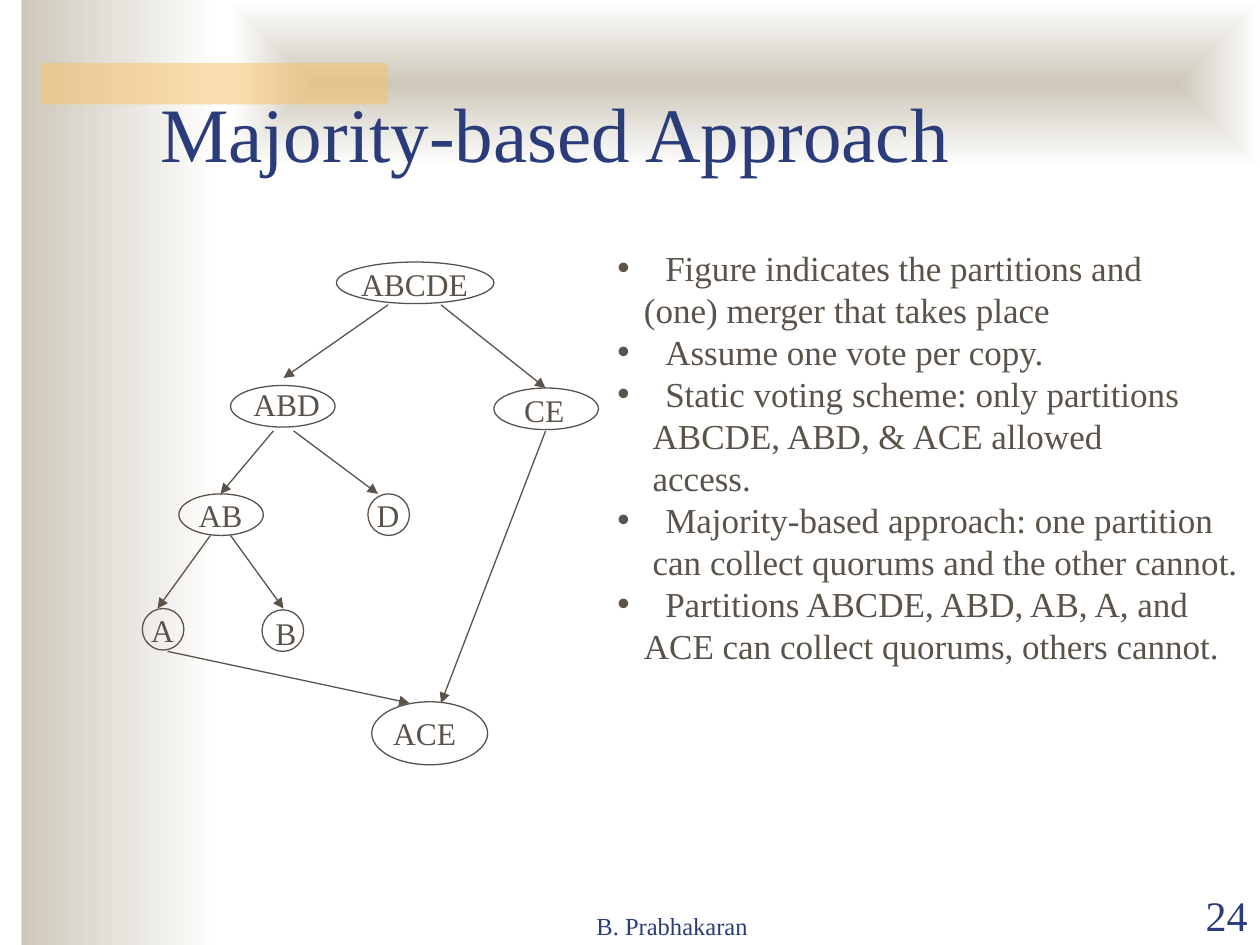
"""Build the slide on the majority-based approach with its partition tree."""
from dataclasses import dataclass

from lxml.etree import SubElement
from pptx import Presentation
from pptx.dml.color import RGBColor
from pptx.enum.shapes import MSO_CONNECTOR as Connector, MSO_SHAPE as Shape
from pptx.enum.text import MSO_ANCHOR as Anchor, MSO_AUTO_SIZE as AutoSize, PP_ALIGN as Align
from pptx.oxml.ns import qn
from pptx.util import Inches, Pt

FONT = "Times New Roman"
NAVY = RGBColor(0x2A, 0x3D, 0x7A)
BROWN = RGBColor(0x5B, 0x52, 0x49)
SAND = RGBColor(0xCE, 0xC8, 0xBA)
AMBER = RGBColor(0xFA, 0xC1, 0x64)
WHITE = RGBColor(0xFF, 0xFF, 0xFF)
BULLET_INDENT = 0.38


@dataclass(frozen=True)
class Rect:
    left: float
    top: float
    width: float
    height: float

    def lengths(self) -> list:
        return [Inches(value) for value in (self.left, self.top, self.width, self.height)]


@dataclass(frozen=True)
class Node:
    name: str
    oval: Rect
    label: Rect


@dataclass(frozen=True)
class Arrow:
    start: tuple[float, float]
    end: tuple[float, float]


@dataclass(frozen=True)
class Line:
    text: str
    indent: float = BULLET_INDENT
    bullet: bool = False


NODES = [
    Node("ABCDE", Rect(2.67, 2.08, 1.25, 0.33), Rect(2.77, 2.05, 1.04, 0.4)),
    Node("ABD", Rect(1.83, 3.06, 0.83, 0.33), Rect(1.91, 3.01, 0.73, 0.4)),
    Node("CE", Rect(3.92, 3.08, 0.83, 0.33), Rect(4.06, 3.05, 0.52, 0.4)),
    Node("AB", Rect(1.42, 3.92, 0.67, 0.33), Rect(1.48, 3.89, 0.54, 0.4)),
    Node("D", Rect(2.92, 3.92, 0.33, 0.33), Rect(2.89, 3.89, 0.38, 0.4)),
    Node("A", Rect(1.13, 4.83, 0.33, 0.33), Rect(1.1, 4.8, 0.38, 0.4)),
    Node("B", Rect(2.08, 4.84, 0.33, 0.33), Rect(2.09, 4.82, 0.36, 0.4)),
    Node("ACE", Rect(2.95, 5.57, 0.92, 0.5), Rect(3.02, 5.62, 0.7, 0.4)),
]
ARROWS = [
    Arrow((3.08, 2.42), (2.25, 3)),
    Arrow((3.5, 2.42), (4.33, 3.08)),
    Arrow((2.17, 3.42), (1.75, 3.92)),
    Arrow((2.33, 3.42), (3, 3.92)),
    Arrow((1.67, 4.25), (1.25, 4.83)),
    Arrow((1.83, 4.25), (2.25, 4.83)),
    Arrow((4.33, 3.42), (3.5, 5.58)),
    Arrow((1.33, 5.17), (3.25, 5.58)),
]
LINES = [
    Line("Figure indicates the partitions and", bullet=True),
    Line("(one) merger that takes place", 0.21),
    Line("Assume one vote per copy.", bullet=True),
    Line("Static voting scheme: only partitions", bullet=True),
    Line("ABCDE, ABD, & ACE allowed", 0.28),
    Line("access.", 0.28),
    Line("Majority-based approach: one partition", bullet=True),
    Line("can collect quorums and the other cannot.", 0.28),
    Line("Partitions ABCDE, ABD, AB, A, and", bullet=True),
    Line("ACE can collect quorums, others cannot.", 0.21),
]


def add_span(para, text: str, size: float, color: RGBColor) -> None:
    span = para.add_run()
    span.text = text
    span.font.name = FONT
    span.font.size = Pt(size)
    span.font.color.rgb = color


def add_label(page, rect: Rect, text: str, size: float, color: RGBColor,
              align=Align.CENTER, anchor=Anchor.MIDDLE, side_inset: float = 0.1) -> None:
    box = page.shapes.add_textbox(*rect.lengths())
    frame = box.text_frame
    frame.word_wrap = True
    frame.vertical_anchor = anchor
    frame.margin_left = frame.margin_right = Inches(side_inset)
    para = frame.paragraphs[0]
    para.alignment = align
    add_span(para, text, size, color)


def add_plain_shape(page, kind, rect: Rect):
    shape = page.shapes.add_shape(kind, *rect.lengths())
    shape.shadow.inherit = False
    return shape


def add_gradient(page, rect: Rect, from_centre: bool = False) -> None:
    shape = add_plain_shape(page, Shape.RECTANGLE, rect)
    shape.line.fill.background()
    shape.fill.gradient()
    shape.fill.gradient_angle = 0
    for stop, color in zip(shape.fill.gradient_stops, (SAND, WHITE)):
        stop.color.rgb = color
    if from_centre:
        gradient = shape.element.spPr.find(qn("a:gradFill"))
        gradient.remove(gradient.find(qn("a:lin")))
        shading = SubElement(gradient, qn("a:path"), {"path": "rect"})
        SubElement(shading, qn("a:fillToRect"), {side: "50000" for side in "ltrb"})


def add_accent(page, rect: Rect) -> None:
    shape = add_plain_shape(page, Shape.RECTANGLE, rect)
    shape.line.fill.background()
    shape.fill.solid()
    shape.fill.fore_color.rgb = AMBER
    color = shape.element.spPr.find(qn("a:solidFill")).find(qn("a:srgbClr"))
    SubElement(color, qn("a:alpha"), {"val": "50000"})


def add_node(page, node: Node) -> None:
    add_label(page, node.label, node.name, 18, BROWN, side_inset=0)
    oval = add_plain_shape(page, Shape.OVAL, node.oval)
    oval.fill.background()
    oval.line.color.rgb = BROWN
    oval.line.width = Pt(0.75)


def add_arrow(page, arrow: Arrow) -> None:
    ends = [Inches(value) for value in arrow.start + arrow.end]
    connector = page.shapes.add_connector(Connector.STRAIGHT, *ends)
    connector.line.color.rgb = BROWN
    connector.line.width = Pt(0.75)
    properties = connector.element.spPr
    SubElement(properties.find(qn("a:ln")), qn("a:tailEnd"), {"type": "triangle"})
    SubElement(properties, qn("a:effectLst"))


def place(page, holder, rect: Rect, anchor) -> None:
    holder.left, holder.top, holder.width, holder.height = rect.lengths()
    holder.text_frame.auto_size = AutoSize.NONE
    holder.text_frame.word_wrap = True
    holder.text_frame.vertical_anchor = anchor
    page.shapes.element.append(holder.element)


def fill_list(frame, lines: list[Line]) -> None:
    for index, line in enumerate(lines):
        para = frame.add_paragraph() if index else frame.paragraphs[0]
        properties = para._p.get_or_add_pPr()
        properties.set("marL", str(Inches(line.indent)))
        properties.set("indent", str(-Inches(line.indent) if line.bullet else 0))
        if line.bullet:
            color = SubElement(properties, qn("a:buClr"))
            SubElement(color, qn("a:srgbClr"), {"val": str(BROWN)})
            SubElement(properties, qn("a:buChar"), {"char": "•"})
        else:
            SubElement(properties, qn("a:buNone"))
        para.space_before = Pt(0)
        para.line_spacing = Pt(24)
        add_span(para, line.text, 20, BROWN)


def main() -> None:
    deck = Presentation()
    deck.slide_width, deck.slide_height = Inches(10), Inches(7.5)
    page = deck.slides.add_slide(deck.slide_layouts[1])
    title, body = page.shapes.title, page.placeholders[1]

    add_gradient(page, Rect(0.17, 0, 1.58, 7.5))
    add_gradient(page, Rect(1.83, 0, 8.17, 1.33), from_centre=True)
    add_accent(page, Rect(0.33, 0.5, 2.75, 0.33))
    add_label(page, Rect(3.75, 7.01, 3.17, 0.5), "B. Prabhakaran", 14, NAVY,
              anchor=Anchor.BOTTOM)
    add_label(page, Rect(9, 7.01, 1, 0.5), "24", 24, NAVY, Align.RIGHT, Anchor.BOTTOM)

    place(page, title, Rect(1.17, 0.21, 8.5, 1.25), Anchor.BOTTOM)
    heading = title.text_frame.paragraphs[0]
    heading.alignment = Align.LEFT
    add_span(heading, "Majority-based Approach", 44, NAVY)

    for node in NODES:
        add_node(page, node)
    for arrow in ARROWS:
        add_arrow(page, arrow)
    place(page, body, Rect(4.8, 1.9, 5.2, 3.44), Anchor.MIDDLE)
    fill_list(body.text_frame, LINES)
    deck.save("out.pptx")


if __name__ == "__main__":
    main()
